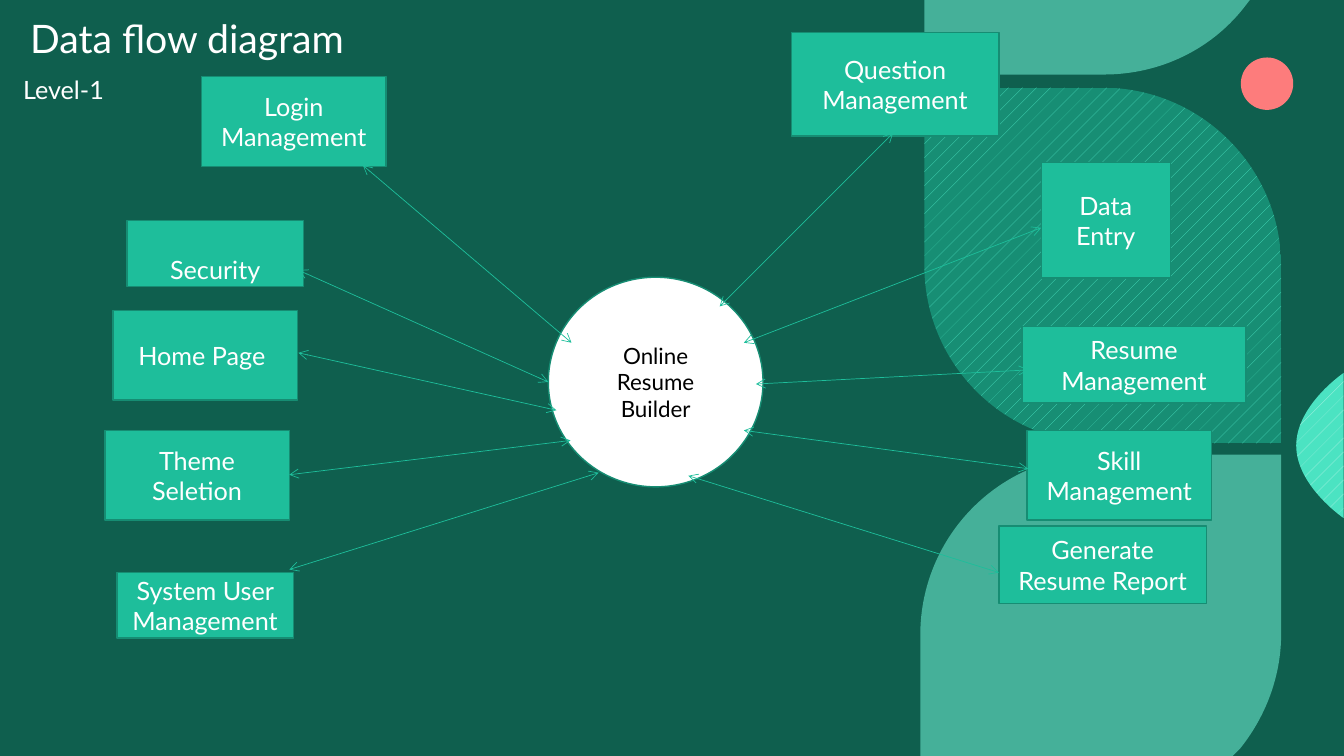
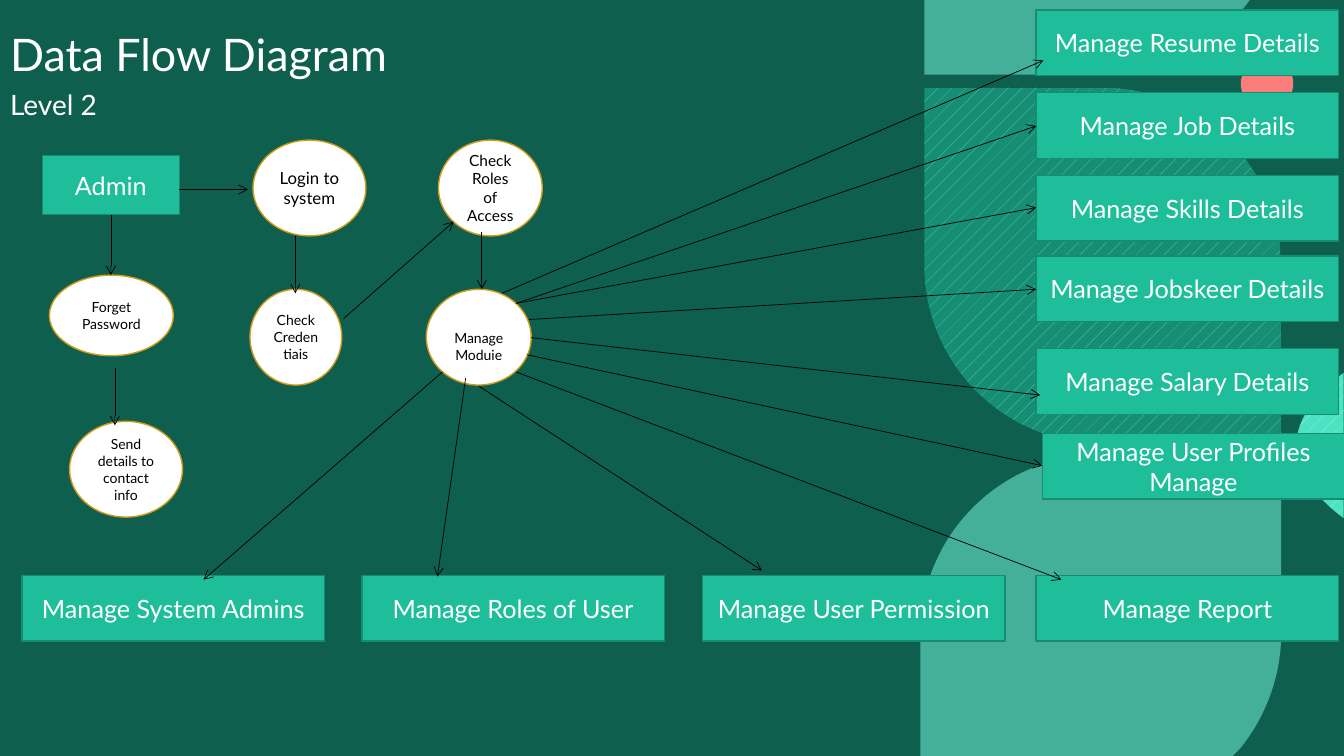
"""Build two data flow diagram slides on a shared green leaf background."""
from lxml import etree
from pptx import Presentation
from pptx.dml.color import RGBColor
from pptx.enum.dml import MSO_PATTERN
from pptx.enum.shapes import MSO_CONNECTOR, MSO_SHAPE
from pptx.enum.text import MSO_ANCHOR, MSO_AUTO_SIZE, PP_ALIGN
from pptx.oxml.ns import qn
from pptx.util import Inches, Pt

RECTANGLE, OVAL = MSO_SHAPE.RECTANGLE, MSO_SHAPE.OVAL
STRAIGHT = MSO_CONNECTOR.STRAIGHT
DOTTED = MSO_PATTERN.PERCENT_5
LEFT, CENTER = PP_ALIGN.LEFT, PP_ALIGN.CENTER
TOP, MIDDLE, BOTTOM = MSO_ANCHOR.TOP, MSO_ANCHOR.MIDDLE, MSO_ANCHOR.BOTTOM
FONT = "Lato"
COLORS = {name: RGBColor.from_string(value) for name, value in {
    "ground": "09392F", "veil": "18997E", "coral": "FD7C7C", "leaf": "69E7CC",
    "mint": "4BE3C2", "pale": "C3F6EB", "forest": "178E74", "box": "1EBE9B",
    "edge": "168D73", "gold": "D39B17", "white": "FFFFFF", "black": "000000",
}.items()}


def write(frame, text, size, color, align, anchor):
    """Fill a text frame and format every run alike."""
    frame.text = text
    frame.word_wrap = True
    frame.auto_size = MSO_AUTO_SIZE.NONE
    frame.vertical_anchor = anchor
    for para in frame.paragraphs:
        para.alignment = align
        for span in para.runs:
            span.font.name = FONT
            span.font.size = Pt(size)
            span.font.color.rgb = COLORS[color]


def paint(shape, fill, edge=None, alpha=None):
    """Give a shape a flat fill, an optional outline and no shadow."""
    shape.shadow.inherit = False
    shape.fill.solid()
    shape.fill.fore_color.rgb = COLORS[fill]
    if alpha:
        tint = shape.element.spPr.find(qn("a:solidFill"))[0]
        etree.SubElement(tint, qn("a:alpha")).set("val", str(alpha * 1000))
    if edge:
        shape.line.color.rgb = COLORS[edge]
        shape.line.width = Pt(1)
    else:
        shape.line.fill.background()


deck = Presentation()
deck.slide_width, deck.slide_height = Inches(40) // 3, Inches(7.5)
master = deck.slide_master
master.background.fill.solid()
master.background.fill.fore_color.rgb = COLORS["ground"]
level_one = deck.slides.add_slide(deck.slide_layouts[5])
level_two = deck.slides.add_slide(deck.slide_layouts[1])

veil = level_one.shapes.add_shape(RECTANGLE, 0, 0, deck.slide_width, deck.slide_height)
paint(veil, "veil", alpha=40)
dot = level_one.shapes.add_shape(
    OVAL, Inches(12.31), Inches(0.57), Inches(0.52), Inches(0.52))
paint(dot, "coral")
decor = [veil, dot]

# Each outline step is a line end (2 numbers) or a Bezier curve (6 numbers).
leaves = [
    ([(9.17, 0), (12.4, 0), (12.33, 0.09), (12.01, 0.49, 11.51, 0.74, 10.95, 0.74),
      (9.17, 0.74)], None),
    ([(10.92, 4.51), (12.71, 4.51), (12.71, 6.29),
      (12.71, 6.72, 12.55, 7.12, 12.3, 7.43), (12.23, 7.5), (9.13, 7.5), (9.13, 6.3),
      (9.13, 5.31, 9.93, 4.51, 10.92, 4.51)], None),
    ([(13.33, 3.7), (13.33, 5.14), (13.33, 5.14, 12.86, 4.82, 12.86, 4.42),
      (12.86, 4.02, 13.33, 3.7, 13.33, 3.7)], ("pale", "mint")),
    ([(12.71, 4.4), (10.94, 4.4), (9.96, 4.4, 9.17, 3.61, 9.17, 2.63), (9.17, 0.87),
      (10.94, 0.87), (11.91, 0.87, 12.71, 1.66, 12.71, 2.64)], ("mint", "forest")),
]
for outline, pattern in leaves:
    corners = [(Inches(step[-2]), Inches(step[-1])) for step in outline]
    builder = level_one.shapes.build_freeform(*corners[0])
    builder.add_line_segments(corners[1:], close=False)
    leaf = builder.convert_to_shape()
    route = next(leaf.element.iter(qn("a:path")))
    for segment, step in zip(list(route), outline):
        if len(step) == 6:
            segment.clear()
            curve = etree.SubElement(route, qn("a:cubicBezTo"))
            for x, y in zip(step[::2], step[1::2]):
                point = etree.SubElement(curve, qn("a:pt"))
                point.set("x", str(Inches(x) - leaf.left))
                point.set("y", str(Inches(y) - leaf.top))
            route.replace(segment, curve)
    etree.SubElement(route, qn("a:close"))
    paint(leaf, "leaf", alpha=None if pattern else 60)
    if pattern:
        leaf.fill.patterned()
        leaf.fill.pattern = DOTTED
        leaf.fill.fore_color.rgb = COLORS[pattern[0]]
        leaf.fill.back_color.rgb = COLORS[pattern[1]]
    decor.append(leaf)

for number, shape in enumerate(decor):
    shape.element.nvSpPr.cNvPr.set("id", str(101 + number))
    master.shapes.element.insert(2 + number, shape.element)

subtitle = level_two.placeholders[1]
caption = level_one.shapes.add_textbox(0, 0, 0, 0)
headings = [
    (level_one.shapes.title, (0.2, 0.12, 4.32, 0.54), "Data flow diagram ", 28, BOTTOM, 0.9),
    (caption, (0.13, 0.69, 1.69, 0.4), "Level-1", 18, TOP, 1.0),
    (level_two.shapes.title, (0, 0, 5.92, 0.86), "Data Flow Diagram", 32, BOTTOM, 0.9),
    (subtitle, (0, 0.86, 3.44, 0.65), "Level 2", 20, TOP, 0.9),
]
for heading, place, text, size, anchor, spacing in headings:
    heading.left, heading.top, heading.width, heading.height = map(Inches, place)
    write(heading.text_frame, text, size, "white", LEFT, anchor)
    heading.text_frame.paragraphs[0].line_spacing = spacing
level = subtitle.text_frame.paragraphs[0]
level.space_before = Pt(10)
properties = level._p.get_or_add_pPr()
properties.set("marL", "0")
properties.set("indent", "0")
etree.SubElement(properties, qn("a:buNone"))

modules = [
    (10.14, 3.24, 2.22, 0.76, "Resume Management"),
    (1.12, 3.08, 1.83, 0.89, "Home Page "),
    (7.85, 0.32, 2.06, 1.03, "Question Management"),
    (1.16, 5.68, 1.75, 0.65, "System User Management"),
    (10.19, 4.27, 1.83, 0.89, "Skill\nManagement"),
    (9.91, 5.22, 2.06, 0.77, "Generate Resume Report"),
    (10.33, 1.61, 1.28, 1.15, "Data Entry"),
    (1.26, 2.19, 1.75, 0.65, "Security"),
    (1.04, 4.27, 1.83, 0.89, "Theme\nSeletion"),
    (2, 0.76, 1.83, 0.89, "Login Management"),
]
tasks = [(0.42, 1.54, 1.36, 0.59, "Admin")]
tasks += [(left, 5.71, 3, 0.65, "Manage " + name) for left, name in [
    (0.22, "System Admins"), (3.59, "Roles of User"),
    (6.97, "User Permission"), (10.28, "Report")]]
tasks += [(10.28, top, 3, 0.65, f"Manage {name} Details") for top, name in [
    (0.1, "Resume"), (0.92, "Job"), (1.74, "Skills"), (2.54, "Jobskeer"),
    (3.46, "Salary")]]
tasks.append((10.34, 4.3, 3, 0.65, "Manage User Profiles\nManage"))
hub = [(5.44, 2.75, 2.13, 2.08, "Online\nResume Builder", 16)]
processes = [
    (0.49, 2.73, 1.23, 0.8, "Forget Password", 10),
    (0.69, 4.18, 1.12, 0.95, "Send details to contact info", 10),
    (2.51, 1.39, 1.12, 0.95, "Login to system", 12),
    (2.48, 2.87, 0.91, 0.95, "Check\nCredentiais", 10),
    (4.23, 2.87, 1.04, 0.95, "Manage\nModuie", 10),
    (4.35, 1.39, 1.03, 0.95, "Check\nRoles\nof\nAccess", 11),
]
lowered = {"Security": 0.16, "Manage\nModuie": 0.09}
groups = [
    (level_one, OVAL, hub, "white", "edge", "black"),
    (level_one, RECTANGLE, modules, "box", "edge", "white"),
    (level_two, OVAL, processes, "white", "gold", "black"),
    (level_two, RECTANGLE, tasks, "box", "edge", "white"),
]
for page, kind, nodes, fill, edge, ink in groups:
    for left, top, width, height, text, *size in nodes:
        node = page.shapes.add_shape(kind, *map(Inches, (left, top, width, height)))
        paint(node, fill, edge)
        write(node.text_frame, text, size[0] if size else 18, ink, CENTER, MIDDLE)
        node.text_frame.margin_top = Inches(2 * lowered.get(text, 0))
        node.text_frame.margin_bottom = 0

exchanges = [
    (7.38, 4.27, 10.2, 4.65), (3.6, 1.64, 5.67, 3.4), (2.96, 3.5, 5.52, 4.07),
    (2.96, 2.68, 5.44, 3.79), (2.87, 5.65, 5.94, 4.69), (7.14, 3.04, 8.86, 1.32),
    (7.38, 3.4, 10.33, 2.26), (7.5, 3.81, 10.2, 3.67), (2.87, 4.71, 5.66, 4.37),
    (6.83, 4.72, 9.91, 5.68),
]
flows = [
    (1.1, 2.13, 1.1, 2.73), (1.14, 3.65, 1.14, 4.22), (3.41, 3.16, 4.5, 2.2),
    (2.93, 2.34, 2.93, 2.91), (4.78, 2.3, 4.78, 2.87), (4.39, 3.69, 2.02, 5.75),
    (4.62, 3.75, 4.34, 5.72), (4.75, 3.83, 7.56, 5.66), (5.12, 3.69, 10.53, 5.75),
    (5.23, 3.52, 10.34, 4.62), (5.27, 3.35, 10.32, 3.92), (5.25, 3.17, 10.28, 2.87),
    (5.12, 3.01, 10.28, 2.06), (5.12, 3.01, 10.28, 1.25), (4.98, 2.91, 10.35, 0.6),
    (1.78, 1.88, 2.46, 1.88),
]
for page, arrows, color, ends in [
    (level_one, exchanges, "box", ("a:headEnd", "a:tailEnd")),
    (level_two, flows, "black", ("a:tailEnd",)),
]:
    for arrow in arrows:
        connector = page.shapes.add_connector(STRAIGHT, *map(Inches, arrow))
        connector.line.width = Pt(0.5)
        connector.line.color.rgb = COLORS[color]
        outline = connector.element.spPr.find(qn("a:ln"))
        for end in ends:
            etree.SubElement(outline, qn(end)).set("type", "arrow")
        etree.SubElement(connector.element.spPr, qn("a:effectLst"))

deck.save("out.pptx")
